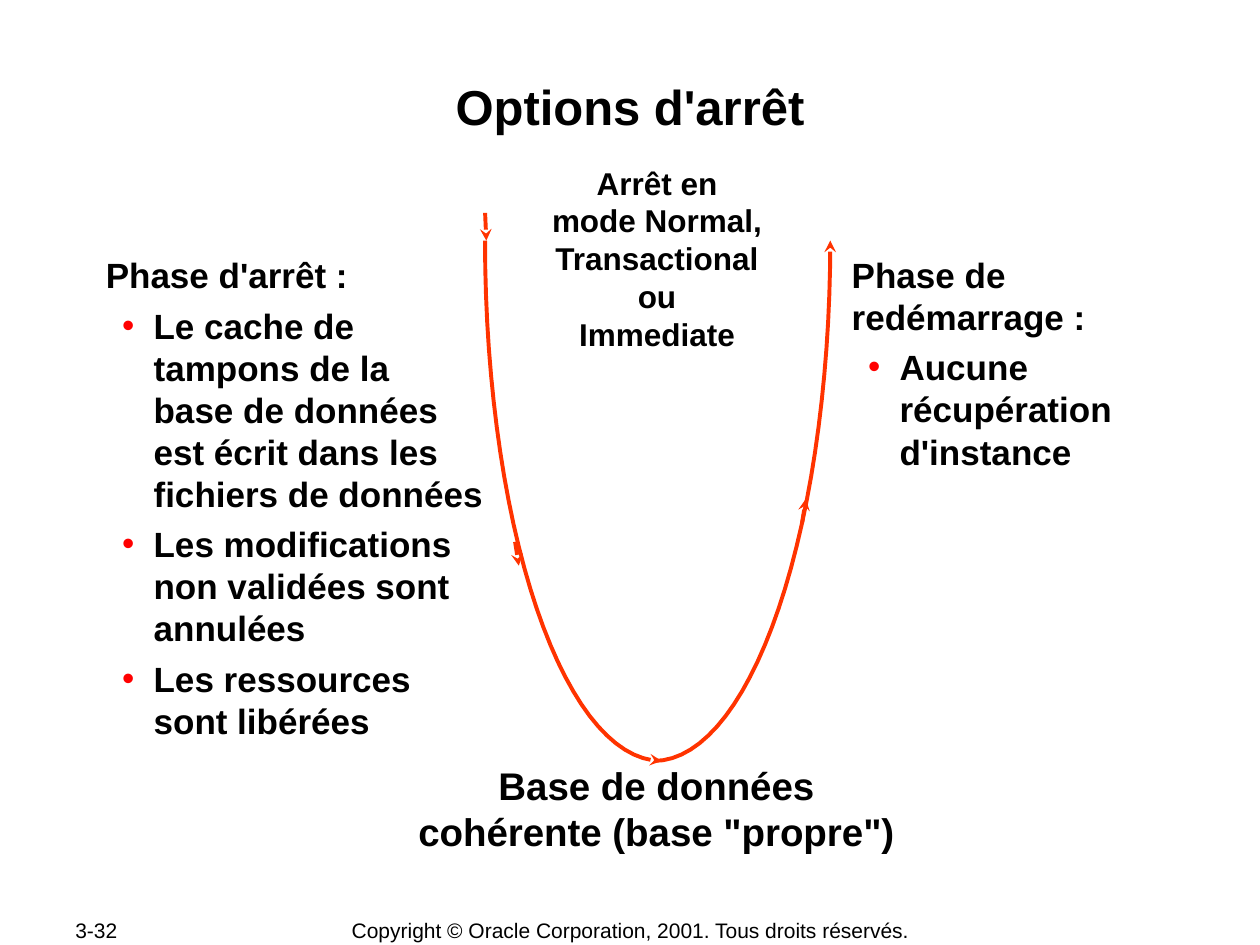
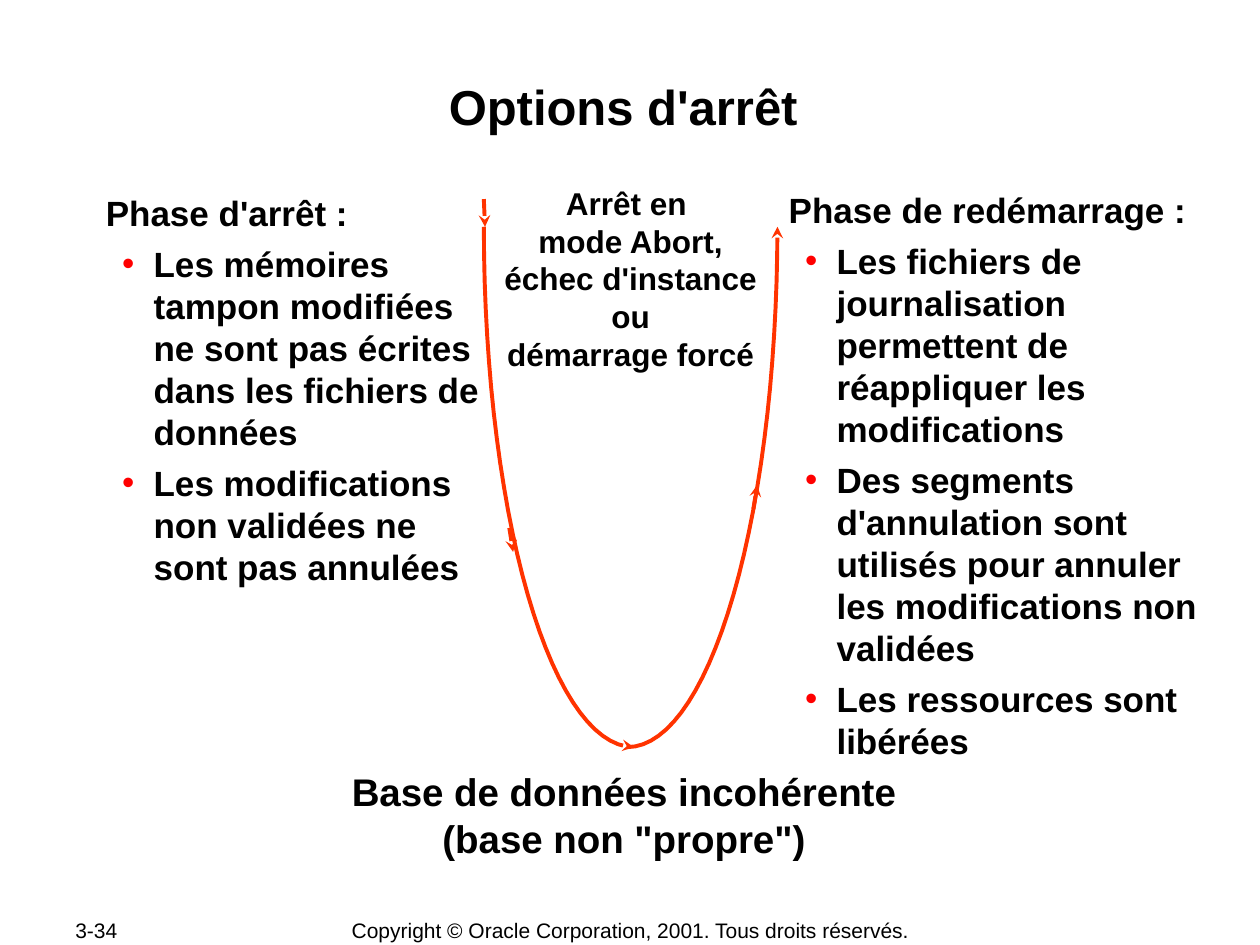
"""Build two slides on database shutdown options."""
from math import cos, radians, sin

from lxml import etree
from pptx import Presentation
from pptx.dml.color import RGBColor
from pptx.enum.shapes import MSO_CONNECTOR
from pptx.enum.text import MSO_ANCHOR, MSO_AUTO_SIZE, PP_ALIGN
from pptx.oxml.ns import qn
from pptx.util import Inches, Pt

LEFT, MID = PP_ALIGN.LEFT, PP_ALIGN.CENTER
TOP, CENTER = MSO_ANCHOR.TOP, MSO_ANCHOR.MIDDLE
FIXED = MSO_AUTO_SIZE.NONE
LINE = MSO_CONNECTOR.STRAIGHT

THEME = {
    "font": "Arial",
    "ink": RGBColor(0, 0, 0),
    "curve": RGBColor(0xFF, 0x33, 0x00),
    "bullet": "FF0000",
    "title": 28, "base": 22, "body": 20, "mode": 18, "foot": 12,
    "width": 2.25,
}
DROP = 4.13
COPY = "Copyright © Oracle Corporation, 2001. Tous droits réservés."

SLIDES = [
    {
        "page": "3-32",
        "title": "Options d'arrêt",
        "lists": [
            ((0.83, 2, 3.56, 4.31), [
                "Phase d'arrêt :",
                "Le cache de \ntampons de la \nbase de données \nest écrit dans les fichiers de données",
                "Les modifications \nnon validées sont annulées",
                "Les ressources \nsont libérées",
            ]),
            ((6.75, 2, 3, 2.17), [
                "Phase de redémarrage :",
                "Aucune récupération d'instance",
            ]),
        ],
        "mode": ((4.28, 1.25, 1.87, 1.6),
                 "Arrêt en\nmode Normal,\nTransactional\nou\nImmediate"),
        "base": ((3.22, 6, 3.98, 0.83),
                 ["Base de données", "cohérente (base \"propre\")"]),
        "arc": (3.85, 6.59, 1.91, 1.4),
    },
    {
        "page": "3-34",
        "title": "Options d'arrêt ",
        "lists": [
            ((0.83, 1.51, 3.14, 3.17), [
                "Phase d'arrêt :",
                "Les mémoires tampon modifiées ne sont pas écrites dans les fichiers de données",
                "Les modifications non validées ne sont pas annulées",
            ]),
            ((6.25, 1.49, 3.36, 4.57), [
                "Phase de redémarrage :",
                "Les fichiers de journalisation permettent de réappliquer les modifications",
                "Des segments d'annulation sont utilisés pour annuler les modifications non validées",
                "Les ressources sont libérées",
            ]),
        ],
        "mode": ((3.9, 1.41, 2.21, 1.6),
                 "Arrêt en \nmode Abort,\néchec d'instance\nou\ndémarrage forcé"),
        "base": ((2.69, 6.05, 4.61, 0.83),
                 ["Base de données incohérente \n(base non \"propre\") "]),
        "arc": (3.84, 6.17, 1.8, 1.19),
    },
]


def write(box, lines, size, at, bold=True, align=MID, anchor=TOP,
          wrap=False, inset=(0.1, 0.05), bullets=False):
    """Place a box and fill it with formatted paragraphs."""
    box.left, box.top, box.width, box.height = map(Inches, at)
    frame = box.text_frame
    frame.auto_size = FIXED
    frame.word_wrap = wrap
    frame.vertical_anchor = anchor
    frame.margin_left = frame.margin_right = Inches(inset[0])
    frame.margin_top = frame.margin_bottom = Inches(inset[1])
    for i, line in enumerate(lines):
        para = frame.add_paragraph() if i else frame.paragraphs[0]
        para.text = line.replace("\n", "\v")
        para.alignment = align
        if bullets and i:
            props = para._p.get_or_add_pPr()
            props.set("marL", str(Inches(0.38)))
            props.set("indent", str(Inches(-0.25)))
            tint = etree.SubElement(props, qn("a:buClr"))
            etree.SubElement(tint, qn("a:srgbClr"), val=THEME["bullet"])
            etree.SubElement(props, qn("a:buFont"), typeface=THEME["font"])
            etree.SubElement(props, qn("a:buChar"), char="•")
            para.space_before = Pt(5)
        for run in para.runs:
            run.font.name = THEME["font"]
            run.font.size = Pt(THEME[size])
            run.font.bold = bold
            run.font.color.rgb = THEME["ink"]


def arrow(shape):
    """Give a line its colour, and an arrowhead at its start."""
    shape.line.color.rgb = THEME["curve"]
    shape.line.width = Pt(THEME["width"])
    props = shape.element.spPr
    etree.SubElement(props.find(qn("a:ln")), qn("a:headEnd"), type="stealth")
    etree.SubElement(props, qn("a:effectLst"))


deck = Presentation()
deck.slide_width, deck.slide_height = Inches(10), Inches(7.5)

for data in SLIDES:
    slide = deck.slides.add_slide(deck.slide_layouts[5])
    shapes = slide.shapes
    blank = (0, 0, 0, 0)

    write(shapes.add_textbox(*blank), [data["page"]], "foot",
          (0.5, 7.28, 1.06, 0.2), bold=False, align=LEFT, anchor=CENTER, wrap=True)
    write(shapes.add_textbox(*blank), [COPY], "foot",
          (2.76, 7.28, 4.49, 0.21), bold=False, anchor=CENTER)
    write(shapes.title, [data["title"]], "title", (1, 0.6, 8, 0.96),
          wrap=True, inset=(0.01, 0.01))

    left, right, top, wide = data["arc"]
    for hub, start in ((left + wide, 90), (right - wide, 0)):
        dots = []
        for step in range(0, 91, 3):
            turn = radians(start + step)
            dots.append((Inches(hub + wide * cos(turn)), Inches(top + DROP * sin(turn))))
        path = shapes.build_freeform(*dots[0])
        path.add_line_segments(dots[1:], close=False)
        curve = path.convert_to_shape()
        curve.fill.background()
        arrow(curve)

    down, up = left + 0.17 * wide, right - 0.16 * wide
    for tip, end in (
        ((left + 0.01, top), (left, top - 0.22)),
        ((down + 0.03, top + 2.58), (down, top + 2.39)),
        ((up + 0.03, top + 2.05), (up, top + 2.24)),
    ):
        arrow(shapes.add_connector(LINE, *map(Inches, tip + end)))

    for at, lines in data["lists"]:
        write(shapes.add_textbox(*blank), lines, "body", at, align=LEFT,
              wrap=True, inset=(0.01, 0.01), bullets=True)
    at, text = data["mode"]
    write(shapes.add_textbox(*blank), [text], "mode", at)
    at, lines = data["base"]
    write(shapes.add_textbox(*blank), lines, "base", at)

deck.save("out.pptx")
